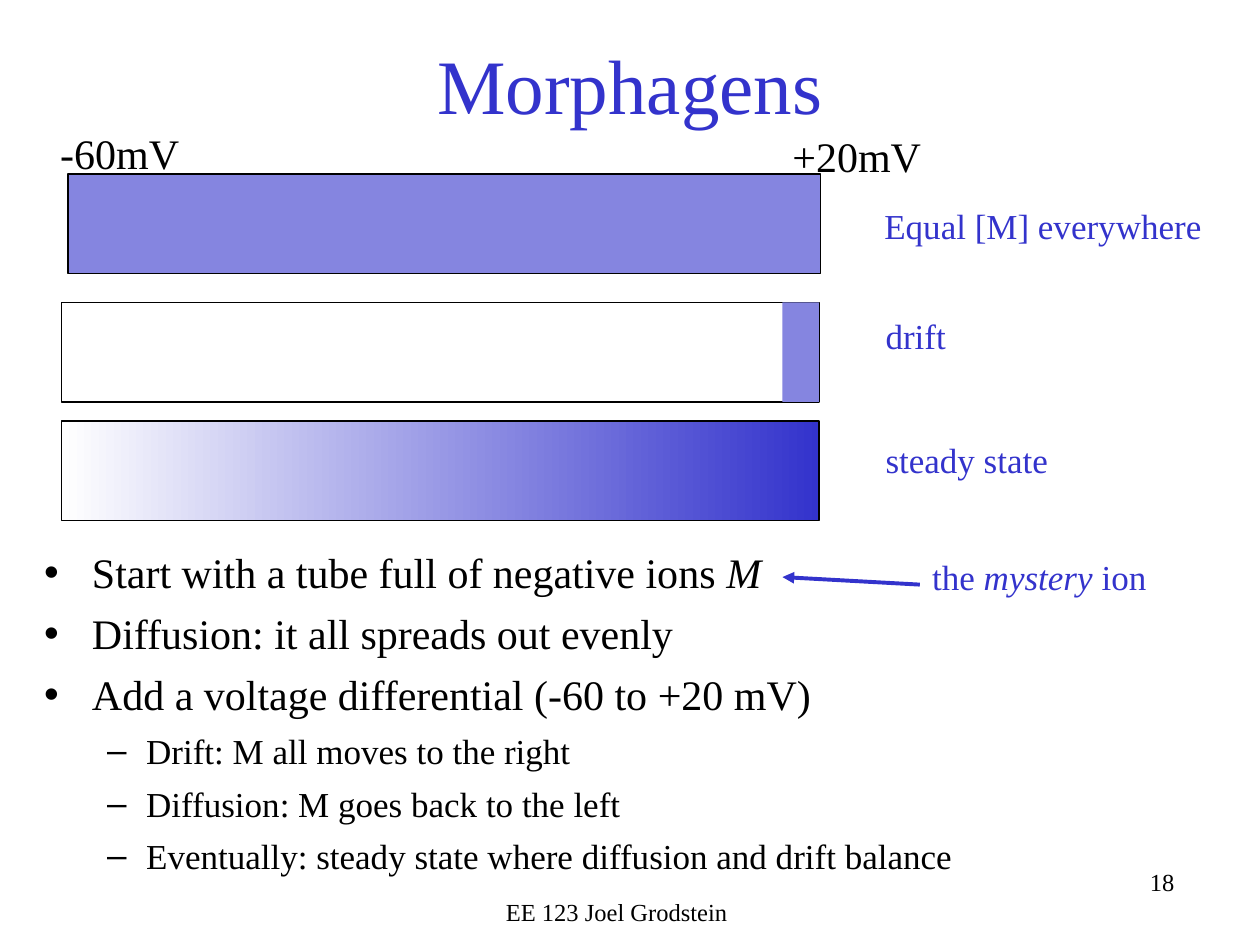
import pptx
import pptx.util
import pptx.dml.color
import pptx.enum.shapes
import pptx.enum.text
import pptx.oxml
import pptx.oxml.ns
import lxml.etree

Inches = pptx.util.Inches
Pt = pptx.util.Pt
ALIGN = pptx.enum.text.PP_ALIGN
ANCHOR = pptx.enum.text.MSO_ANCHOR
BLACK, BLUE, LILAC = "000000", "3333CC", "8585E0"


def rgb(value):
    return pptx.dml.color.RGBColor.from_string(value)


def add_element(parent, tag, **attributes):
    child = lxml.etree.SubElement(parent, pptx.oxml.ns.qn(tag))
    for name, value in attributes.items():
        child.set(name, value)
    return child


class SlideWriter:
    font = "Times New Roman"
    # Per list level: bullet, left margin, hanging indent, text size
    levels = [("•", 0.38, 0.38, 24), ("–", 0.81, 0.31, 20)]

    def __init__(self, slide):
        self.slide = slide

    def place(self, shape, box):
        shape.left, shape.top, shape.width, shape.height = map(Inches, box)

    def add_runs(self, paragraph, runs, size, color):
        """Write runs; a run given as a 1-tuple is italic."""
        for piece in runs:
            italic = isinstance(piece, tuple)
            run = paragraph.add_run()
            run.text = piece[0] if italic else piece
            run.font.name = self.font
            run.font.size = Pt(size)
            run.font.italic = italic
            run.font.color.rgb = rgb(color)

    def title(self, wording, box):
        heading = self.slide.shapes.title
        self.place(heading, box)
        frame = heading.text_frame
        frame.auto_size = pptx.enum.text.MSO_AUTO_SIZE.NONE
        frame.vertical_anchor = ANCHOR.MIDDLE
        frame.paragraphs[0].alignment = ALIGN.CENTER
        self.add_runs(frame.paragraphs[0], [wording], 44, BLUE)

    def bullets(self, items, box):
        body = self.slide.placeholders[1]
        self.place(body, box)
        frame = body.text_frame
        frame.auto_size = pptx.enum.text.MSO_AUTO_SIZE.NONE
        frame.vertical_anchor = ANCHOR.TOP
        for index, (level, runs) in enumerate(items):
            paragraph = frame.add_paragraph() if index else frame.paragraphs[0]
            mark, margin, hanging, size = self.levels[level]
            paragraph.level = level
            paragraph.space_before = Pt(6 if index else 0)
            properties = paragraph._p.get_or_add_pPr()
            properties.set("marL", str(Inches(margin)))
            properties.set("indent", str(-Inches(hanging)))
            add_element(properties, "a:buChar", char=mark)
            self.add_runs(paragraph, runs, size, BLACK)

    def label(self, runs, box, size, color=BLACK, align=ALIGN.LEFT, wrap=False):
        text_box = self.slide.shapes.add_textbox(*map(Inches, box))
        frame = text_box.text_frame
        frame.word_wrap = wrap
        frame.paragraphs[0].alignment = align
        self.add_runs(frame.paragraphs[0], runs, size, color)

    def bar(self, box, fill=None, gradient=None, outlined=True):
        bar = self.slide.shapes.add_shape(
            pptx.enum.shapes.MSO_SHAPE.RECTANGLE, *map(Inches, box))
        bar.shadow.inherit = False
        if gradient:
            bar.fill.gradient()
            bar.fill.gradient_angle = 0
            for stop, color in zip(bar.fill.gradient_stops, gradient):
                stop.color.rgb = rgb(color)
        elif fill:
            bar.fill.solid()
            bar.fill.fore_color.rgb = rgb(fill)
        else:
            bar.fill.background()
        if outlined:
            bar.line.color.rgb = rgb(BLACK)
            bar.line.width = Pt(0.75)
        else:
            bar.line.fill.background()

    def arrow(self, start, end):
        arrow = self.slide.shapes.add_connector(
            pptx.enum.shapes.MSO_CONNECTOR.STRAIGHT,
            *map(Inches, start + end))
        arrow.line.color.rgb = rgb(BLUE)
        arrow.line.width = Pt(2.25)
        add_element(arrow.line._get_or_add_ln(), "a:tailEnd", type="triangle")
        add_element(arrow._element.spPr, "a:effectLst")


def main():
    deck = pptx.Presentation()
    deck.slide_width, deck.slide_height = Inches(10), Inches(7.5)
    writer = SlideWriter(deck.slides.add_slide(deck.slide_layouts[1]))

    writer.title("Morphagens", (0.75, 0.28, 8.5, 0.77))
    writer.bullets([
        (0, ["Start with a tube full of negative ions ", ("M",)]),
        (0, ["Diffusion: it all spreads out evenly"]),
        (0, ["Add a voltage differential (-60 to +20 mV)"]),
        (1, ["Drift: M all moves to the right"]),
        (1, ["Diffusion: M goes back to the left"]),
        (1, ["Eventually: steady state where diffusion and drift balance"]),
    ], (0.25, 4.29, 9.62, 2.77))

    # Ion concentration along the tube in three stages
    tube_left, tube_width, tube_height = 0.49, 6.01, 0.79
    drift_top, steady_top, ions_width = 2.4, 3.34, 0.29
    writer.bar((0.54, 1.38, 5.97, tube_height), fill=LILAC)
    writer.bar((tube_left, steady_top, tube_width, tube_height),
               gradient=("FFFFFF", BLUE))
    writer.bar((tube_left, drift_top, tube_width, tube_height))
    writer.bar((tube_left + tube_width - ions_width, drift_top,
                ions_width, tube_height), fill=LILAC, outlined=False)

    writer.label(["-60mV"], (0.38, 0.96, 1.36, 0.5), 24)
    writer.label(["+20mV"], (6.19, 0.99, 1.22, 0.5), 24)
    for runs, box in [
        (["Equal [M] everywhere"], (6.92, 1.57, 2.78, 0.44)),
        (["drift"], (6.93, 2.45, 0.76, 0.44)),
        (["steady state"], (6.93, 3.43, 1.57, 0.44)),
        (["the ", ("mystery",), " ion"], (7.3, 4.36, 1.9, 0.44)),
    ]:
        writer.label(runs, box, 20, BLUE)
    writer.arrow((7.3, 4.64), (6.21, 4.58))

    writer.label(["18"], (6.25, 6.83, 3.17, 0.5), 14,
                 align=ALIGN.RIGHT, wrap=True)
    writer.label(["EE 123 Joel Grodstein"], (3.31, 7.07, 3.17, 0.34), 14,
                 align=ALIGN.CENTER, wrap=True)
    deck.save("out.pptx")


if __name__ == "__main__":
    main()
